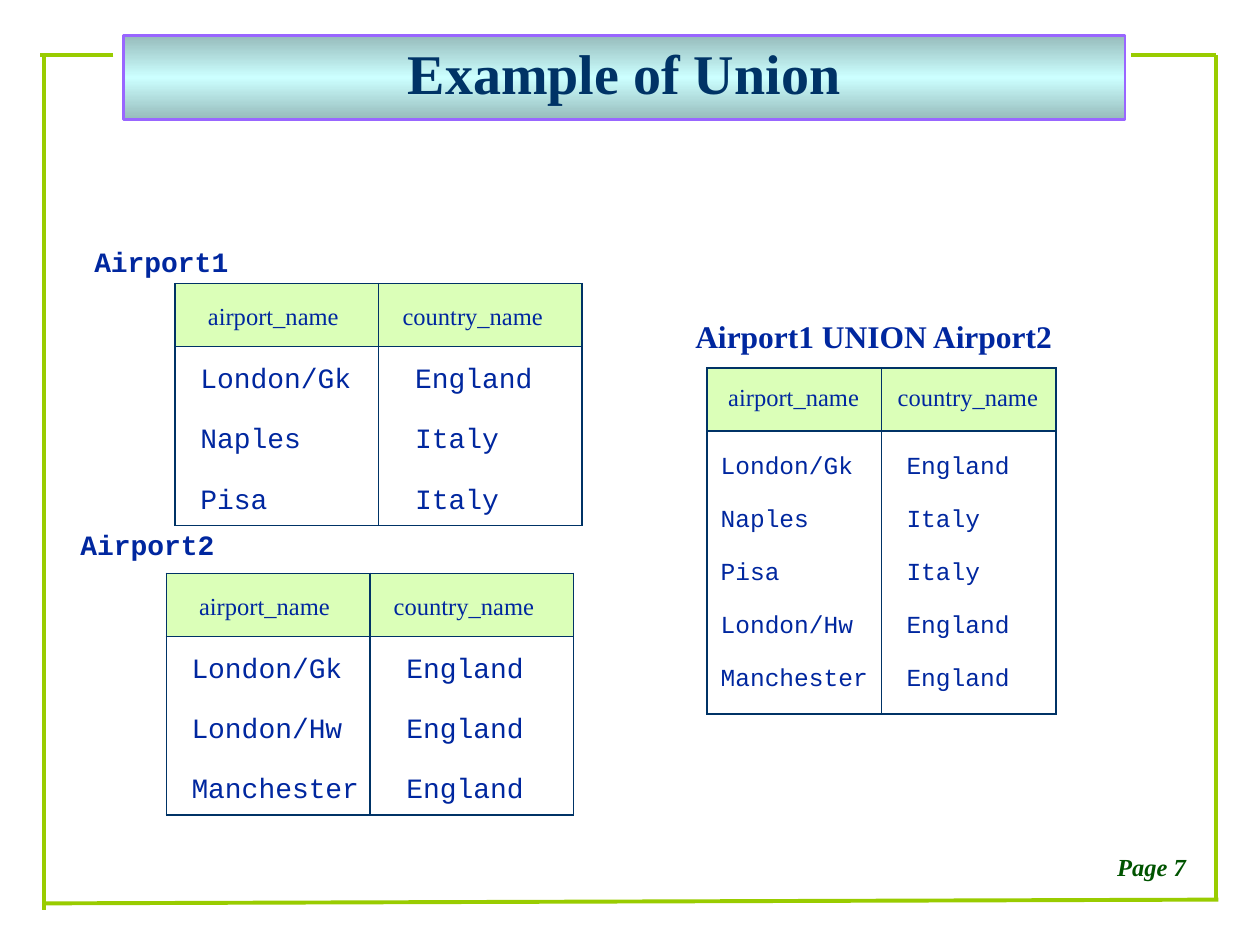
from copy import deepcopy
from dataclasses import dataclass

from pptx import Presentation
from pptx.dml.color import RGBColor as RGB
from pptx.enum.shapes import MSO_CONNECTOR as Conn
from pptx.enum.text import MSO_ANCHOR as Anchor, PP_ALIGN as Align
from pptx.oxml.ns import qn
from pptx.util import Inches, Pt
from lxml.etree import SubElement


@dataclass(frozen=True)
class Theme:
    serif: str = "Times New Roman"
    mono: str = "Courier New"
    navy: str = "003366"
    blue: str = "00279F"
    green: str = "005400"
    lime: str = "99CC00"
    mint: str = "DBFFB8"
    white: str = "FFFFFF"
    violet: str = "9966FF"
    shade: str = "96BBBB"
    cyan: str = "CCFFFF"
    head: int = 32
    label: int = 18
    body: int = 16
    small: int = 14


class Board:
    def __init__(self, theme, slide):
        self.theme = theme
        self.slide = slide

    def style(self, para, font, size, color, bold=False, italic=False, space=0.9):
        para.line_spacing = space
        for run in para.runs:
            face = run.font
            face.name, face.size = font, Pt(size)
            face.bold, face.italic = bold, italic
            face.color.rgb = RGB.from_string(color)

    def title(self, text, box):
        t = self.theme
        shape = self.slide.shapes.title
        shape.left, shape.top, shape.width, shape.height = map(Inches, box)
        shape.line.color.rgb = RGB.from_string(t.violet)
        shape.line.width = Pt(1.5)
        shape.fill.gradient()
        shape.fill.gradient_angle = 90
        stops = shape._element.spPr.find(qn("a:gradFill")).find(qn("a:gsLst"))
        stops.append(deepcopy(stops[0]))
        tones = [(0, t.shade), (0.5, t.cyan), (1, t.shade)]
        for stop, (pos, color) in zip(shape.fill.gradient_stops, tones):
            stop.position = pos
            stop.color.rgb = RGB.from_string(color)
        frame = shape.text_frame
        frame.text = text
        frame.vertical_anchor = Anchor.MIDDLE
        para = frame.paragraphs[0]
        para.alignment = Align.CENTER
        self.style(para, t.serif, t.head, t.navy, bold=True, space=0.85)

    def line(self, start, end):
        link = self.slide.shapes.add_connector(
            Conn.STRAIGHT, *map(Inches, start + end))
        link.line.color.rgb = RGB.from_string(self.theme.lime)
        link.line.width = Pt(2.25)
        SubElement(link._element.spPr, qn("a:effectLst"))

    def text(self, text, box, font, size, color, italic=False, align=Align.LEFT):
        frame = self.slide.shapes.add_textbox(*map(Inches, box)).text_frame
        frame.word_wrap = True
        frame.text = text
        para = frame.paragraphs[0]
        para.alignment = align
        self.style(para, font, size, color, bold=True, italic=italic)

    def border(self, cell, sides):
        props = cell._tc.get_or_add_tcPr()
        for spot, side in enumerate(("L", "R", "T", "B")):
            edge = SubElement(props, qn(f"a:ln{side}"), w=str(Pt(1)))
            props.insert(spot, edge)
            if side in sides:
                fill = SubElement(edge, qn("a:solidFill"))
                SubElement(fill, qn("a:srgbClr"), val=self.theme.navy)
            else:
                SubElement(edge, qn("a:noFill"))

    def table(self, rows, box, size, pitch, tops, heads, insets):
        t = self.theme
        left, top, width, height = box
        count = len(rows)
        grid = self.slide.shapes.add_table(count, 2, *map(Inches, box)).table
        grid.first_row = grid.horz_banding = False
        for col in grid.columns:
            col.width = Inches(width / 2)
        last = height - 0.5 - pitch * (count - 2)
        highs = [0.5] + [pitch] * (count - 2) + [last]
        for r, (values, high) in enumerate(zip(rows, highs)):
            grid.rows[r].height = Inches(high)
            first = r == 0
            sides = "LRTB" if first else "LR"
            if r == 1:
                sides += "T"
            if r == count - 1:
                sides += "B"
            for c, value in enumerate(values):
                cell = grid.cell(r, c)
                cell.text = value
                cell.fill.solid()
                cell.fill.fore_color.rgb = RGB.from_string(t.mint if first else t.white)
                cell.vertical_anchor = Anchor.TOP
                cell.margin_left = Inches((heads if first else insets)[c])
                cell.margin_top = Inches(tops[0 if first else 1])
                cell.margin_right = cell.margin_bottom = 0
                self.style(cell.text_frame.paragraphs[0],
                           t.serif if first else t.mono,
                           t.small if first else size, t.blue)
                self.border(cell, sides)


def main():
    deck = Presentation()
    deck.slide_width, deck.slide_height = Inches(10), Inches(7.5)
    t = Theme()
    board = Board(t, deck.slides.add_slide(deck.slide_layouts[5]))

    frame = [
        ((0.9, 0.44), (0.32, 0.44)),
        ((0.35, 0.44), (0.35, 7.22)),
        ((0.35, 7.17), (9.67, 7.14)),
        ((9.65, 0.44), (9.65, 7.14)),
        ((9.65, 0.44), (8.98, 0.44)),
    ]
    for start, end in frame:
        board.line(start, end)
    board.title("Example of Union", (0.98, 0.28, 7.95, 0.67))
    board.text("Page 7", (8.39, 6.74, 1.5, 0.31), t.serif, t.small, t.green,
               italic=True, align=Align.CENTER)

    names = ("airport_name", "country_name")
    gatwick = ("London/Gk", "England")
    italy = [("Naples", "Italy"), ("Pisa", "Italy")]
    north = [("London/Hw", "England"), ("Manchester", "England")]

    board.text("Airport1 UNION Airport2", (5.42, 2.5, 3.2, 0.37),
               t.serif, t.label, t.blue)
    board.table([names, gatwick] + italy + north, (5.61, 2.92, 2.77, 2.75),
                t.small, 0.42, (0.15, 0.19), (0.17, 0.13), (0.11, 0.2))

    sources = [
        ("Airport1", (0.65, 1.92), (1.39, 2.25), italy),
        ("Airport2", (0.54, 4.17), (1.32, 4.55), north),
    ]
    for name, spot, corner, rows in sources:
        board.text(name, spot + (1.6, 0.34), t.mono, t.body, t.blue)
        board.table([names, gatwick] + rows, corner + (3.23, 1.92),
                    t.body, 0.48, (0.18, 0.15), (0.26, 0.19), (0.2, 0.29))

    deck.save("out.pptx")


if __name__ == "__main__":
    main()
